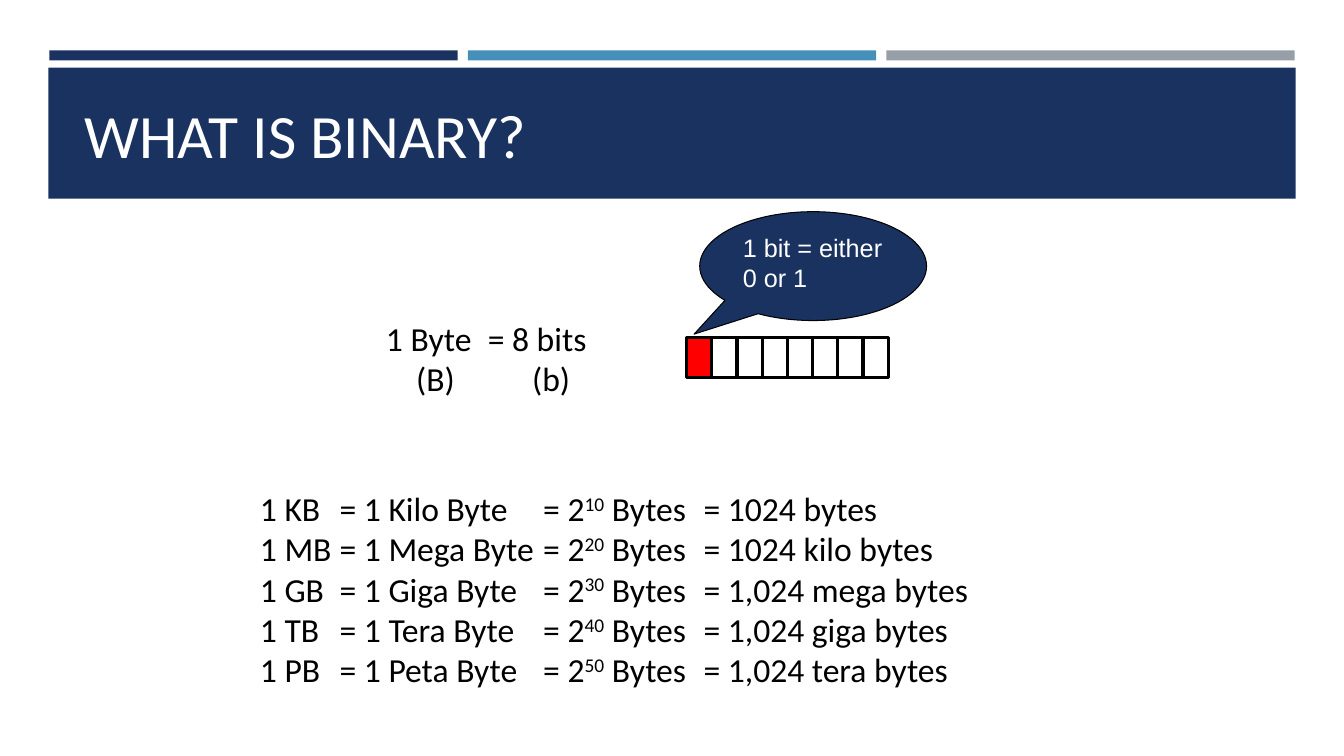
from dataclasses import dataclass

from lxml.etree import SubElement
from pptx import Presentation
from pptx.dml.color import RGBColor
from pptx.enum.shapes import MSO_SHAPE
from pptx.enum.text import MSO_ANCHOR, MSO_AUTO_SIZE, PP_ALIGN
from pptx.oxml.ns import qn
from pptx.util import Inches, Pt

TITLE = "WHAT IS BINARY?"
NOTE = "1 bit = either 0 or 1"
BITS = 8
BYTE = [("1 Byte\t= 8 bits", [1.01]), ("\t(B)\t(b)", [0.3, 1.45])]
UNITS = [
    ("KB", "Kilo", 10, "1024 bytes"),
    ("MB", "Mega", 20, "1024 kilo bytes"),
    ("GB", "Giga", 30, "1,024 mega bytes"),
    ("TB", "Tera", 40, "1,024 giga bytes"),
    ("PB", "Peta", 50, "1,024 tera bytes"),
]
STOPS = [0.79, 2.81, 4.4]


@dataclass(frozen=True)
class Theme:
    navy: str = "1A3260"
    blue: str = "4590B8"
    gray: str = "969FA7"
    red: str = "FF0000"
    ink: str = "000000"
    white: str = "FFFFFF"
    head: int = 44
    body: int = 24
    note: int = 18
    face: str = "Calibri"
    plain: str = "Arial"


T = Theme()

deck = Presentation()
deck.slide_width, deck.slide_height = Inches(13.33), Inches(7.5)
slide = deck.slides.add_slide(deck.slide_layouts[5])


def box(kind, area, fill=None, line=None, width=1):
    """Add a preset shape; no fill or line unless a colour is given."""
    shape = slide.shapes.add_shape(kind, *map(Inches, area))
    shape.shadow.inherit = False
    if fill:
        shape.fill.solid()
        shape.fill.fore_color.rgb = RGBColor.from_string(fill)
    else:
        shape.fill.background()
    if line:
        shape.line.color.rgb = RGBColor.from_string(line)
        shape.line.width = Pt(width)
    else:
        shape.line.fill.background()
    return shape


def write(frame, rows, size, color, face=T.face, anchor=MSO_ANCHOR.TOP):
    """Fill a frame; each row is (parts, tab stops), each part (text, raised)."""
    form = {"word_wrap": True, "auto_size": MSO_AUTO_SIZE.NONE,
            "vertical_anchor": anchor}
    for key, value in form.items():
        setattr(frame, key, value)
    for i, (parts, stops) in enumerate(rows):
        para = frame.add_paragraph() if i else frame.paragraphs[0]
        para.alignment = PP_ALIGN.LEFT
        if stops:
            tabs = SubElement(para._p.get_or_add_pPr(), qn("a:tabLst"))
            for stop in stops:
                SubElement(tabs, qn("a:tab"), pos=str(Inches(stop)), algn="l")
        for text, raised in parts:
            run = para.add_run()
            run.text = text
            for key, value in {"name": face, "size": Pt(size)}.items():
                setattr(run.font, key, value)
            run.font.color.rgb = RGBColor.from_string(color)
            if raised:
                run._r.get_or_add_rPr().set("baseline", "30000")


def label(area, rows):
    text = slide.shapes.add_textbox(*map(Inches, area))
    write(text.text_frame, rows, T.body, T.ink)


# Header: three strips above the title band
for i, color in enumerate((T.navy, T.blue, T.gray)):
    box(MSO_SHAPE.RECTANGLE, (0.49 + 4.15 * i, 0.5, 4.05, 0.1), color)
box(MSO_SHAPE.RECTANGLE, (0.48, 0.67, 12.37, 1.3), T.navy)
title = slide.shapes.title
title.element.getparent().append(title.element)
for key, value in zip(("left", "top", "width", "height"), (0.74, 0.49, 9.5, 1.25)):
    setattr(title, key, Inches(value))
write(title.text_frame, [([(TITLE, False)], [])], T.head, T.white,
      anchor=MSO_ANCHOR.BOTTOM)

# One byte as a row of bits, the first one marked
for i in range(BITS):
    box(MSO_SHAPE.RECTANGLE, (6.81 + 0.25 * i, 3.35, 0.25, 0.4),
        None if i else T.red, T.ink, 2.25)
label((3.73, 3.1, 2.46, 0.91), [([(text, False)], stops) for text, stops in BYTE])

bubble = box(MSO_SHAPE.OVAL_CALLOUT, (6.94, 2.1, 2.25, 1.08), T.navy, T.ink, 0.75)
bubble.adjustments[0], bubble.adjustments[1] = -0.525, 0.625
write(bubble.text_frame, [([(NOTE, False)], [])], T.note, T.white, T.plain)

# Larger units
label((2.48, 4.79, 8.66, 2.12), [
    ([(f"1 {unit}\t= 1 {name} Byte\t= 2", False), (str(power), True),
      (f" Bytes\t= {value}", False)], STOPS)
    for unit, name, power, value in UNITS
])

deck.save("out.pptx")
